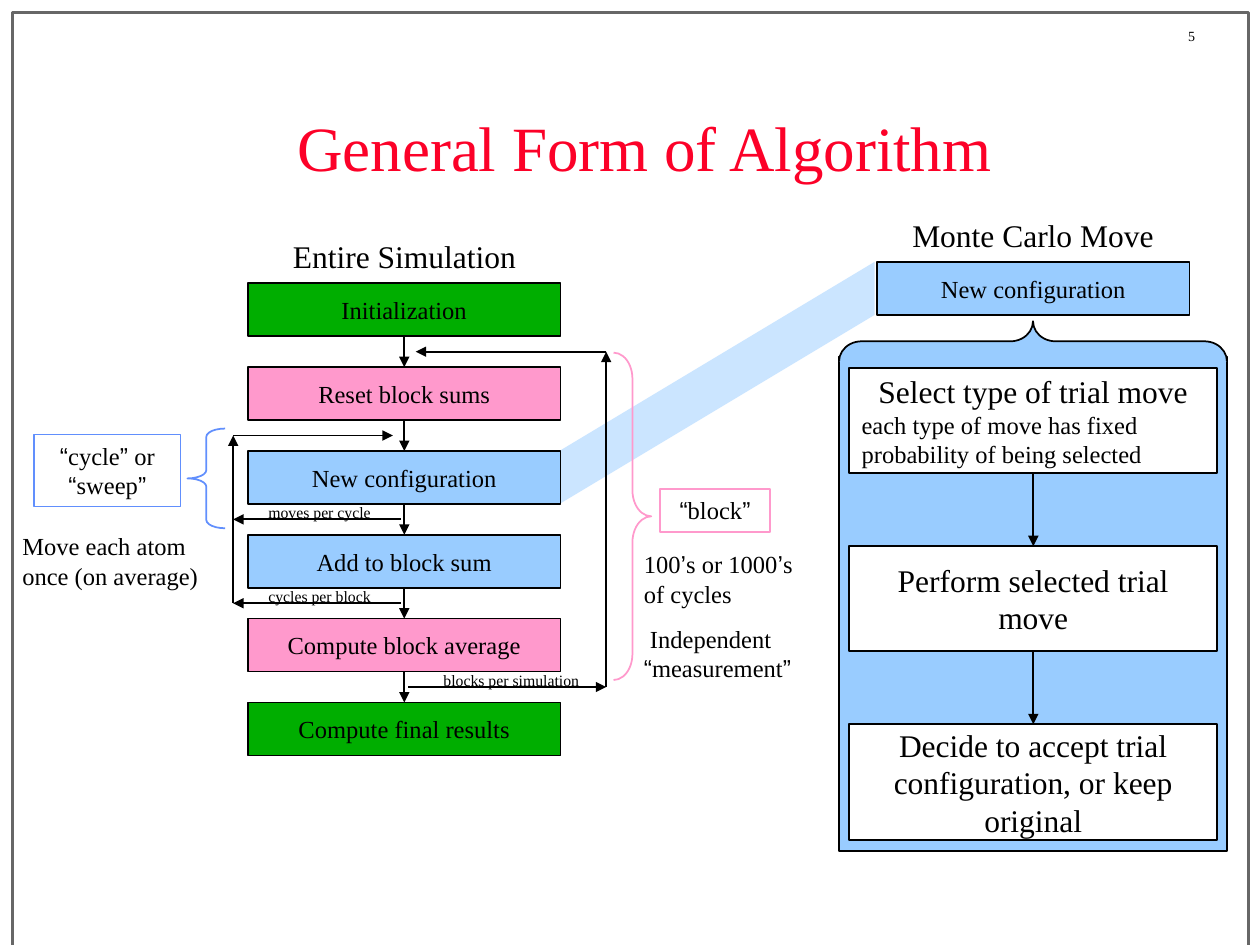
from itertools import groupby

from lxml.etree import SubElement
from pptx import Presentation
from pptx.dml.color import RGBColor
from pptx.enum.shapes import MSO_CONNECTOR, MSO_SHAPE as SHAPE
from pptx.enum.text import MSO_ANCHOR as ANCHOR, PP_ALIGN as ALIGN
from pptx.oxml.ns import qn
from pptx.util import Cm, Pt

BLACK = RGBColor(0x00, 0x00, 0x00)
WHITE = RGBColor(0xFF, 0xFF, 0xFF)
GREY = RGBColor(0x67, 0x67, 0x67)
RED = RGBColor(0xFC, 0x01, 0x28)
GREEN = RGBColor(0x00, 0xAE, 0x00)
PINK = RGBColor(0xFF, 0x99, 0xCC)
SKY = RGBColor(0x99, 0xCC, 0xFF)
BLUE = RGBColor(0x61, 0x8F, 0xFD)
SERIF, SANS = "Times New Roman", "Arial"

prs = Presentation()
prs.slide_width, prs.slide_height = Cm(25.4), Cm(19.05)
slide = prs.slides.add_slide(prs.slide_layouts[5])
shapes = slide.shapes


def add_part(kind, box, paragraphs=(), fill=None, line=None, width=1,
             anchor=ANCHOR.TOP, wrap=True):
    """Add a shape, or a text box if kind is None; paragraphs are (text, size, align)."""
    area = [Cm(length) for length in box]
    if kind is None:
        part = shapes.add_textbox(*area)
    else:
        part = shapes.add_shape(kind, *area)
        part.shadow.inherit = False
    if fill is None:
        part.fill.background()
    else:
        part.fill.solid()
        part.fill.fore_color.rgb = fill
    if line is None:
        part.line.fill.background()
    else:
        part.line.color.rgb = line
        part.line.width = Pt(width)
    frame = part.text_frame
    frame.word_wrap = wrap
    frame.vertical_anchor = anchor
    for i, (text, size, align) in enumerate(paragraphs):
        paragraph = frame.add_paragraph() if i else frame.paragraphs[0]
        paragraph.alignment = align
        # Curly quotes are set in the sans font
        for is_quote, letters in groupby(text, lambda letter: letter in "“”’"):
            run = paragraph.add_run()
            run.text = "".join(letters)
            run.font.name = SANS if is_quote else SERIF
            run.font.size = Pt(size)
            run.font.color.rgb = BLACK
    return part


def add_arrow(x1, y1, x2, y2, upper=None, lower=None):
    """Add an arrow, joined from the bottom of upper to the top of lower if given."""
    arrow = shapes.add_connector(MSO_CONNECTOR.STRAIGHT, Cm(x1), Cm(y1), Cm(x2), Cm(y2))
    if upper is not None:
        arrow.begin_connect(upper, 2)
        arrow.end_connect(lower, 0)
    arrow.line.color.rgb = BLACK
    arrow.line.width = Pt(1)
    properties = arrow._element.spPr
    SubElement(properties.find(qn("a:ln")), qn("a:tailEnd"), type="triangle")
    SubElement(properties, qn("a:effectLst"))


# Frame, page number and panel behind the trial move steps
add_part(SHAPE.RECTANGLE, (0.25, 0.25, 24.92, 18.83), line=GREY, width=2)
add_part(None, (23.7, 0.43, 1.7, 0.58), [("5", 8, ALIGN.LEFT)], wrap=False)
add_part(SHAPE.RECTANGLE, (16.92, 7.19, 7.82, 9.96), fill=SKY, line=BLACK)

# Title
title = shapes.title
title.left, title.top, title.width, title.height = Cm(2.06), Cm(1.7), Cm(21.87), Cm(2.51)
title.text_frame.vertical_anchor = ANCHOR.MIDDLE
title_line = title.text_frame.paragraphs[0]
title_line.alignment = ALIGN.CENTER
title_run = title_line.add_run()
title_run.text = "General Form of Algorithm"
title_run.font.name = SERIF
title_run.font.size = Pt(36)
title_run.font.color.rgb = RED

# Beam that expands the new configuration stage
builder = shapes.build_freeform(Cm(11.28), Cm(9.09), scale=1.0)
builder.add_line_segments(
    [(Cm(x), Cm(y)) for x, y in [(17.63, 5.28), (17.63, 6.35), (11.28, 10.16)]], close=True)
beam = builder.convert_to_shape()
beam.shadow.inherit = False
beam.line.fill.background()
beam.fill.solid()
beam.fill.fore_color.rgb = SKY
beam_color = beam._element.spPr.find(qn("a:solidFill")).find(qn("a:srgbClr"))
SubElement(beam_color, qn("a:alpha"), val="50000")

# Stages of the entire simulation
STAGE_LEFT, STAGE_TOP, STAGE_W, STAGE_H, STAGE_STEP = 5, 5.71, 6.3, 1.07, 1.69
STAGE_X = STAGE_LEFT + STAGE_W / 2
stages = [
    ("Initialization", GREEN),
    ("Reset block sums", PINK),
    ("New configuration", SKY),
    ("Add to block sum", SKY),
    ("Compute block average", PINK),
    ("Compute final results", GREEN),
]
previous = None
for i, (name, color) in enumerate(stages):
    top = STAGE_TOP + i * STAGE_STEP
    stage = add_part(SHAPE.RECTANGLE, (STAGE_LEFT, top, STAGE_W, STAGE_H),
                     [(name, 14, ALIGN.CENTER)], color, BLACK,
                     anchor=ANCHOR.MIDDLE, wrap=False)
    if previous is not None:
        add_arrow(STAGE_X, top - 0.62, STAGE_X, top, previous, stage)
    previous = stage

# Loops, which leave and enter halfway between two stages
gaps = [STAGE_TOP + i * STAGE_STEP + (STAGE_STEP + STAGE_H) / 2 for i in range(5)]
CYCLE_X, BLOCK_X = 4.7, 12.22
add_arrow(8.08, gaps[2], CYCLE_X, gaps[2])
add_arrow(8.08, gaps[3], CYCLE_X, gaps[3])
add_arrow(CYCLE_X, gaps[3], CYCLE_X, gaps[1])
add_arrow(CYCLE_X, gaps[1], 7.92, gaps[1])
add_arrow(8.23, gaps[4], BLOCK_X, gaps[4])
add_arrow(BLOCK_X, gaps[4], BLOCK_X, gaps[0])
add_arrow(BLOCK_X, gaps[0], 8.38, gaps[0])
for name, left, width, gap in [("moves per cycle", 5.16, 2.95, gaps[2]),
                               ("cycles per block", 5.16, 2.95, gaps[3]),
                               ("blocks per simulation", 8.69, 3.38, gaps[4])]:
    add_part(None, (left, gap - 0.46, width, 0.64), [(name, 9, ALIGN.LEFT)])

# Braces: preset, box, curve size, fill, line, rotation
for kind, box, curve, fill, line, rotation in [
    (SHAPE.LEFT_BRACE, (3.78, 8.64, 0.76, 2.01), 0.22, None, BLUE, 0),
    (SHAPE.RIGHT_BRACE, (12.37, 7.11, 0.76, 6.6), 0.69, None, PINK, 0),
    (SHAPE.RIGHT_BRACE, (20.42, 2.97, 0.81, 7.82), 0.56, SKY, BLACK, 270),
]:
    brace = add_part(kind, box, fill=fill, line=line)
    brace.adjustments[0] = curve
    brace.rotation = rotation

# Names and notes of the loops
add_part(SHAPE.RECTANGLE, (0.69, 8.76, 2.95, 1.45),
         [("“cycle” or “sweep”", 14, ALIGN.CENTER)], line=BLUE)
add_part(SHAPE.RECTANGLE, (13.31, 9.86, 2.21, 0.86),
         [("“block”", 14, ALIGN.CENTER)], line=PINK)
add_part(None, (0.2, 10.59, 4.29, 1.45),
         [("Move each atom once (on average)", 14, ALIGN.LEFT)])
block_note = add_part(None, (12.73, 10.95, 3.84, 2.95),
                      [("100’s or 1000’s of cycles", 14, ALIGN.LEFT),
                       (" Independent “measurement”", 14, ALIGN.LEFT)])
block_note.text_frame.paragraphs[1].space_before = Pt(8.8)

# Headings
for name, left, top in [("Entire Simulation", 5.08, 4.65), ("Monte Carlo Move", 17.75, 4.24)]:
    add_part(None, (left, top, 6.15, 1.02), [(name, 18, ALIGN.CENTER)])

# Steps of the Monte Carlo move
add_part(SHAPE.RECTANGLE, (17.68, 5.28, STAGE_W, STAGE_H),
         [("New configuration", 14, ALIGN.CENTER)], SKY, BLACK,
         anchor=ANCHOR.MIDDLE, wrap=False)
steps = [
    (7.42, 2.11, [("Select type of trial move", 18, ALIGN.CENTER),
                  ("each type of move has fixed probability of being selected", 14, ALIGN.LEFT)]),
    (11.01, 2.11, [("Perform selected trial move", 18, ALIGN.CENTER)]),
    (14.6, 2.34, [("Decide to accept trial configuration, or keep original", 18, ALIGN.CENTER)]),
]
previous = None
for top, height, paragraphs in steps:
    step = add_part(SHAPE.FLOWCHART_PROCESS, (17.12, top, 7.42, height), paragraphs,
                    WHITE, BLACK, anchor=ANCHOR.MIDDLE)
    if previous is not None:
        add_arrow(20.83, top - 1.48, 20.83, top, previous, step)
    previous = step

prs.save("out.pptx")
